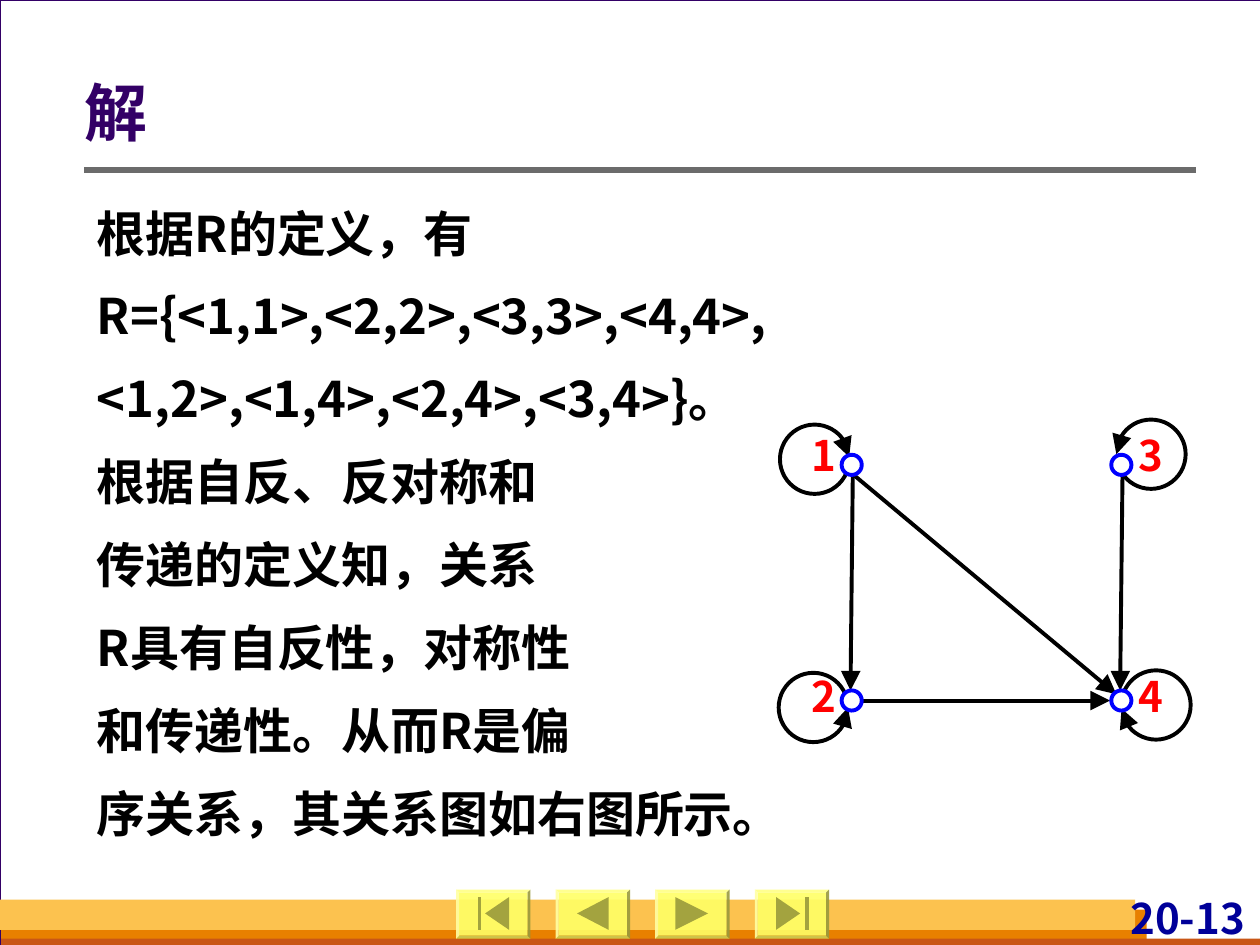
import pptx
import pptx.util
import pptx.dml.color
import pptx.enum.shapes
import pptx.enum.text
import pptx.oxml.ns
from lxml import etree

Inches = pptx.util.Inches
Pt = pptx.util.Pt
RGBColor = pptx.dml.color.RGBColor
SHAPE = pptx.enum.shapes.MSO_SHAPE
LINE = pptx.enum.shapes.MSO_CONNECTOR.STRAIGHT
ALIGN = pptx.enum.text.PP_ALIGN
ANCHOR = pptx.enum.text.MSO_ANCHOR
qn = pptx.oxml.ns.qn

FONT = "Noto Sans CJK SC"
BACK = RGBColor(0xD8, 0xDA, 0xDA)
WHITE = RGBColor(0xFF, 0xFF, 0xFF)
BLACK = RGBColor(0, 0, 0)
PURPLE = RGBColor(0x33, 0x00, 0x66)
NAVY = RGBColor(0x00, 0x00, 0x99)
BLUE = RGBColor(0x00, 0x00, 0xFF)
RED = RGBColor(0xFF, 0, 0)
GRAY = RGBColor(0x6B, 0x6B, 0x6B)
ORANGE = RGBColor(0xE8, 0x80, 0x00)
RUST = RGBColor(0xC9, 0x56, 0x16)
GOLD = RGBColor(0xFC, 0xC2, 0x4F)
YELLOW = RGBColor(0xFF, 0xFF, 0x66)
OLIVE = RGBColor(0xA3, 0xA3, 0x3F)

BODY = [
    "根据R的定义，有",
    "R={<1,1>,<2,2>,<3,3>,<4,4>,",
    "<1,2>,<1,4>,<2,4>,<3,4>}。",
    "根据自反、反对称和",
    "传递的定义知，关系",
    "R具有自反性，对称性",
    "和传递性。从而R是偏",
    "序关系，其关系图如右图所示。",
]

NODE = 0.16
LEFT, RIGHT, TOP, LOW = 6.76, 8.9, 3.69, 5.56
NODES = [(LEFT, TOP), (LEFT, LOW), (RIGHT, TOP), (RIGHT, LOW)]
LABELS = [("1", 6.34, 3.36), ("2", 6.34, 5.27),
          ("3", 8.94, 3.36), ("4", 8.94, 5.27)]
EDGES = [
    (6.68, 3.69, 8.86, 5.51),
    (8.91, 3.68, 8.89, 5.48),
    (6.77, 5.56, 8.81, 5.56),
    (6.77, 3.63, 6.75, 5.48),
]
# left, top, clockwise start and end in degrees, arrow end
LOOPS = [
    (6.19, 3.37, 17, 356, "tailEnd"),
    (6.18, 5.34, 0, 337, "headEnd"),
    (8.86, 3.33, 180, 158, "headEnd"),
    (8.9, 5.32, 206, 174, "tailEnd"),
]
# icon outlines, relative to the left and top of each button
PREV = [(0.17, 0.19), (0.42, 0.06), (0.42, 0.32)]
NEXT = [(0.16, 0.06), (0.42, 0.19), (0.16, 0.32)]
FIRST = [(0.23, 0.19), (0.42, 0.06), (0.42, 0.32)]
LAST = [(0.36, 0.19), (0.17, 0.06), (0.17, 0.32)]


def bar(left):
    return [(left, 0.06), (left + 0.03, 0.06),
            (left + 0.03, 0.32), (left, 0.32)]


BUTTONS = [[FIRST, bar(0.17)], [PREV], [NEXT], [LAST, bar(0.4)]]


def paint(shape, fill, line=None, width=0.75):
    shape.shadow.inherit = False
    if fill is None:
        shape.fill.background()
    else:
        shape.fill.solid()
        shape.fill.fore_color.rgb = fill
    if line is None:
        shape.line.fill.background()
    else:
        shape.line.color.rgb = line
        shape.line.width = Pt(width)


def add_form(slide, kind, box, fill, line=None, width=0.75):
    shape = slide.shapes.add_shape(kind, *map(Inches, box))
    paint(shape, fill, line, width)
    return shape


def add_text(slide, box, lines, size, color, align=ALIGN.LEFT,
             inset=(0.1, 0.05, 0.1, 0.05), gap=0, pitch=1.0):
    frame = slide.shapes.add_textbox(*map(Inches, box)).text_frame
    frame.word_wrap = True
    (frame.margin_left, frame.margin_top,
     frame.margin_right, frame.margin_bottom) = map(Inches, inset)
    for i, line in enumerate(lines):
        para = frame.paragraphs[0] if i == 0 else frame.add_paragraph()
        para.text = line
        para.alignment = align
        para.line_spacing = pitch
        if i:
            para.space_before = Pt(gap)
        font = para.font
        font.name, font.size, font.bold = FONT, Pt(size), True
        font.color.rgb = color
        props = para._p.pPr.find(qn("a:defRPr"))
        etree.SubElement(props, qn("a:ea"), typeface=FONT)
    return frame


def add_arrow(shape, end):
    etree.SubElement(shape.line._get_or_add_ln(), qn("a:" + end),
                     type="triangle", w="lg", len="lg")


def add_line(slide, ends, color, width):
    line = slide.shapes.add_connector(LINE, *map(Inches, ends))
    line.line.color.rgb = color
    line.line.width = Pt(width)
    etree.SubElement(line._element.spPr, qn("a:effectLst"))
    return line


def add_loop(slide, left, top, start, stop, end):
    arc = add_form(slide, SHAPE.ARC, (left, top, 0.55, 0.55),
                   None, BLACK, 2.25)
    # arc angles are stored in 1/60000 degree, adjustments in 1/100000
    arc.adjustments[0] = start * 0.6
    arc.adjustments[1] = stop * 0.6
    add_arrow(arc, end)


def add_button(slide, left, top, icons):
    face = add_form(slide, SHAPE.BEVEL, (left, top, 0.59, 0.39), YELLOW)
    face.adjustments[0] = 0.06
    color = face.fill._xPr.find(qn("a:solidFill"))[0]
    etree.SubElement(color, qn("a:alpha"), val="90000")
    for icon in icons:
        points = [(Inches(left + x), Inches(top + y)) for x, y in icon]
        pen = slide.shapes.build_freeform(*points[0])
        pen.add_line_segments(points[1:], close=True)
        paint(pen.convert_to_shape(), OLIVE)


def add_frame(slide):
    """Page border, footer bands, page number, rule and buttons."""
    rect = SHAPE.RECTANGLE
    add_form(slide, rect, (0, 0, 10.01, 7.5), WHITE, PURPLE)
    add_form(slide, rect, (0.01, 7.22, 9.09, 0.28), ORANGE)
    add_form(slide, rect, (0.01, 7.45, 10, 0.08), RUST)
    add_form(slide, rect, (0, 7.14, 9.01, 0.24), GOLD)
    add_text(slide, (8.47, 7.08, 1.45, 0.46), ["20-13"], 24, NAVY,
             ALIGN.RIGHT, (0.04, 0, 0.04, 0))
    add_line(slide, (0.67, 1.35, 9.49, 1.35), GRAY, 3)
    for i, icons in enumerate(BUTTONS):
        add_button(slide, 3.62 + 0.79 * i, 7.06, icons)


def add_graph(slide):
    for text, left, top in LABELS:
        add_text(slide, (left, top, 0.59, 0.76), [text], 24, RED)
    for loop in LOOPS:
        add_loop(slide, *loop)
    for edge in EDGES:
        add_arrow(add_line(slide, edge, BLACK, 2.25), "tailEnd")
    for x, y in NODES:
        add_form(slide, SHAPE.OVAL, (x - NODE / 2, y - NODE / 2, NODE, NODE),
                 WHITE, BLUE, 2.25)


def main():
    deck = pptx.Presentation()
    deck.slide_width, deck.slide_height = Inches(10), Inches(7.5)
    slide = deck.slides.add_slide(deck.slide_layouts[6])
    slide.background.fill.solid()
    slide.background.fill.fore_color.rgb = BACK
    add_frame(slide)
    add_text(slide, (0.67, 1.47, 8.82, 5.26), BODY, 28, BLACK,
             ALIGN.JUSTIFY, gap=7, pitch=1.2)
    title = add_text(slide, (0.67, 0.6, 8.82, 0.64), ["解"], 36, PURPLE,
                     inset=(0, 0.05, 0.1, 0.05), pitch=0.9)
    title.vertical_anchor = ANCHOR.MIDDLE
    add_graph(slide)
    deck.save("out.pptx")


if __name__ == "__main__":
    main()
